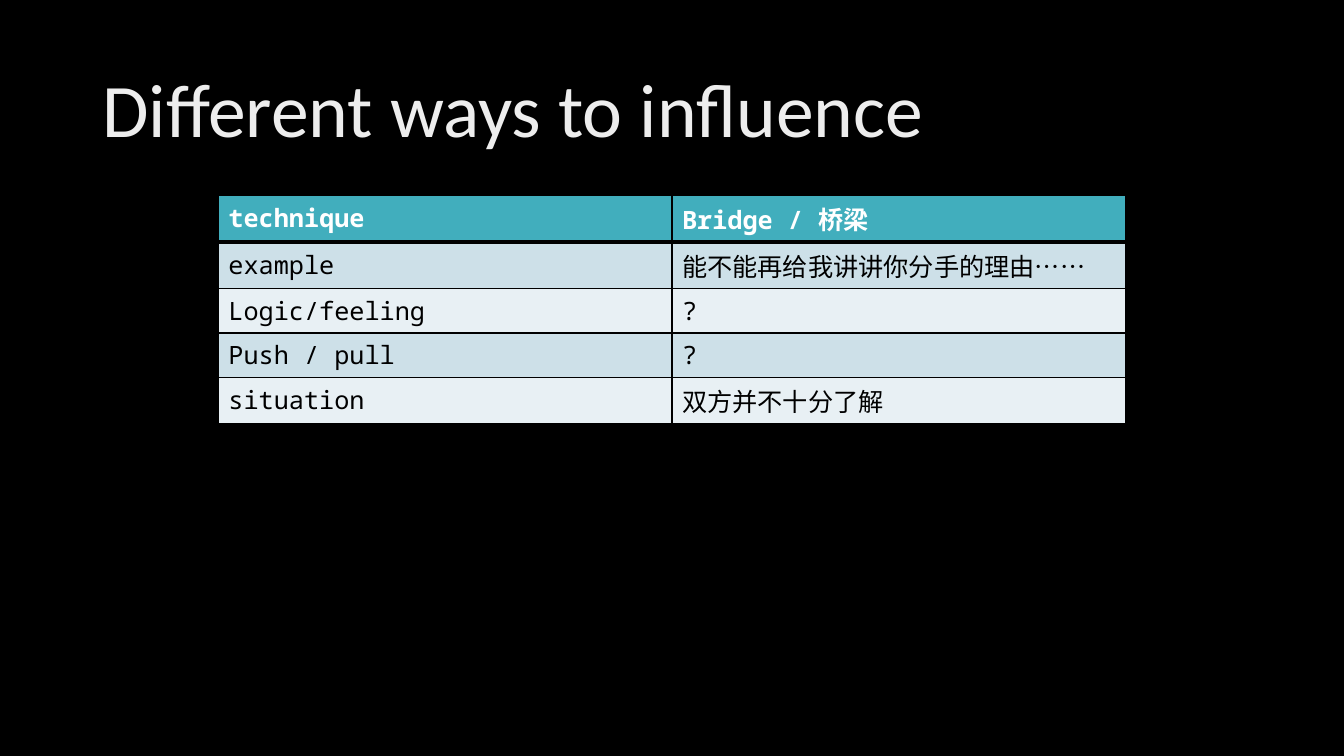
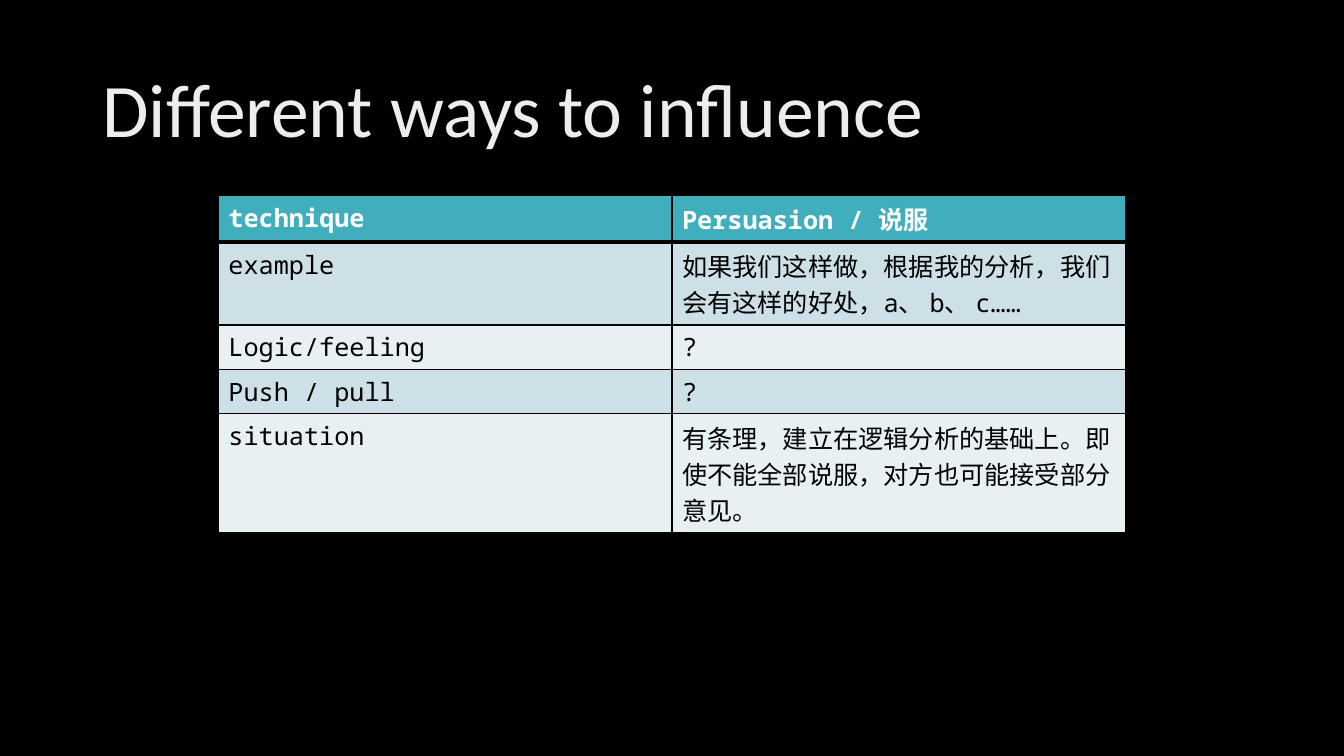
"""Build two slides that compare techniques of influence."""
from dataclasses import dataclass

from lxml.etree import SubElement
from pptx import Presentation
from pptx.dml.color import RGBColor
from pptx.enum.text import MSO_ANCHOR
from pptx.oxml import parse_xml
from pptx.oxml.ns import nsdecls, qn
from pptx.util import Pt

COLORS = {
    "background": "000000",
    "border": "000000",
    "header": "41AEBD",
    "header_text": "FFFFFF",
    "body_text": "000000",
    "band_dark": "CDE0E8",
    "band_light": "E8F0F4",
    "title_start": "BFBFBF",
    "title_middle": "EDEDED",
    "title_end": "FFFFFF",
}
TITLE = "Different ways to influence"
TITLE_STOPS = ((0, "title_start"), (28, "title_middle"), (100, "title_end"))
TITLE_ANGLE = 80
TITLE_FONT = "Calibri"
TABLE_FONT = "Noto Sans Mono"
LABELS = ("technique", "example", "Logic/feeling", "Push / pull", "situation")
COLUMN_WIDTH = 324
LATIN_ROW = 31.7
CHINESE_ROW = 33.2
EXTRA_LINE = 26


@dataclass(frozen=True)
class Technique:
    name: str
    example: str
    situation: str
    example_lines: int = 1
    situation_lines: int = 1
    logic: str = "?"
    push: str = "?"

    def values(self) -> tuple[str, ...]:
        return self.name, self.example, self.logic, self.push, self.situation

    def heights(self) -> tuple[float, ...]:
        example, situation = (
            CHINESE_ROW + EXTRA_LINE * (lines - 1)
            for lines in (self.example_lines, self.situation_lines)
        )
        return CHINESE_ROW, example, LATIN_ROW, LATIN_ROW, situation


TECHNIQUES = (
    Technique("Bridge / 桥梁", "能不能再给我讲讲你分手的理由……", "双方并不十分了解"),
    Technique(
        "Persuasion / 说服",
        "如果我们这样做，根据我的分析，我们会有这样的好处，a、 b、 c……",
        "有条理，建立在逻辑分析的基础上。即使不能全部说服，对方也可能接受部分意见。",
        example_lines=2,
        situation_lines=3,
    ),
)


def rgb(name: str) -> RGBColor:
    return RGBColor.from_string(COLORS[name])


def set_gradient(font) -> None:
    font.fill.gradient()
    font.fill.gradient_angle = 360 - TITLE_ANGLE
    gs_list = font._rPr.find(qn("a:gradFill")).find(qn("a:gsLst"))
    gs_list.clear()
    for position, color in TITLE_STOPS:
        gs = SubElement(gs_list, qn("a:gs"), pos=str(position * 1000))
        SubElement(gs, qn("a:srgbClr"), val=COLORS[color])


def add_title(s) -> None:
    tf = s.shapes.add_textbox(Pt(66), Pt(28.75), Pt(828), Pt(104.4)).text_frame
    tf.word_wrap = True
    tf.vertical_anchor = MSO_ANCHOR.MIDDLE
    p = tf.paragraphs[0]
    p.line_spacing = 0.9
    r = p.add_run()
    r.text = TITLE
    r.font.name = TITLE_FONT
    r.font.size = Pt(54)
    set_gradient(r.font)


def set_borders(cell, top: float, bottom: float) -> None:
    properties = cell._tc.get_or_add_tcPr()
    widths = {"lnL": 1, "lnR": 1, "lnT": top, "lnB": bottom}
    for index, (tag, width) in enumerate(widths.items()):
        line = parse_xml(
            f'<a:{tag} {nsdecls("a")} w="{Pt(width)}"><a:solidFill>'
            f'<a:srgbClr val="{COLORS["border"]}"/></a:solidFill></a:{tag}>'
        )
        properties.insert(index, line)


def fill_cell(cell, text: str, row: int) -> None:
    header = row == 0
    band = "header" if header else "band_dark" if row % 2 else "band_light"
    cell.fill.solid()
    cell.fill.fore_color.rgb = rgb(band)
    set_borders(cell, top=3 if row == 1 else 1, bottom=3 if header else 1)
    p = cell.text_frame.paragraphs[0]
    p.text = text
    p.font.name = TABLE_FONT
    p.font.size = Pt(18)
    p.font.bold = header
    p.font.color.rgb = rgb("header_text" if header else "body_text")


def add_technique_table(s, technique: Technique) -> None:
    heights = technique.heights()
    table = s.shapes.add_table(
        len(LABELS), 2, Pt(156), Pt(139.75), Pt(2 * COLUMN_WIDTH), Pt(sum(heights))
    ).table
    for i, (height, *texts) in enumerate(zip(heights, LABELS, technique.values())):
        table.rows[i].height = Pt(height)
        for j, text in enumerate(texts):
            fill_cell(table.cell(i, j), text, i)


def add_technique_slide(prs, technique: Technique) -> None:
    s = prs.slides.add_slide(prs.slide_layouts[6])
    s.background.fill.solid()
    s.background.fill.fore_color.rgb = rgb("background")
    add_title(s)
    add_technique_table(s, technique)


def main() -> None:
    prs = Presentation()
    prs.slide_width, prs.slide_height = Pt(960), Pt(540)
    for technique in TECHNIQUES:
        add_technique_slide(prs, technique)
    prs.save("out.pptx")


if __name__ == "__main__":
    main()
